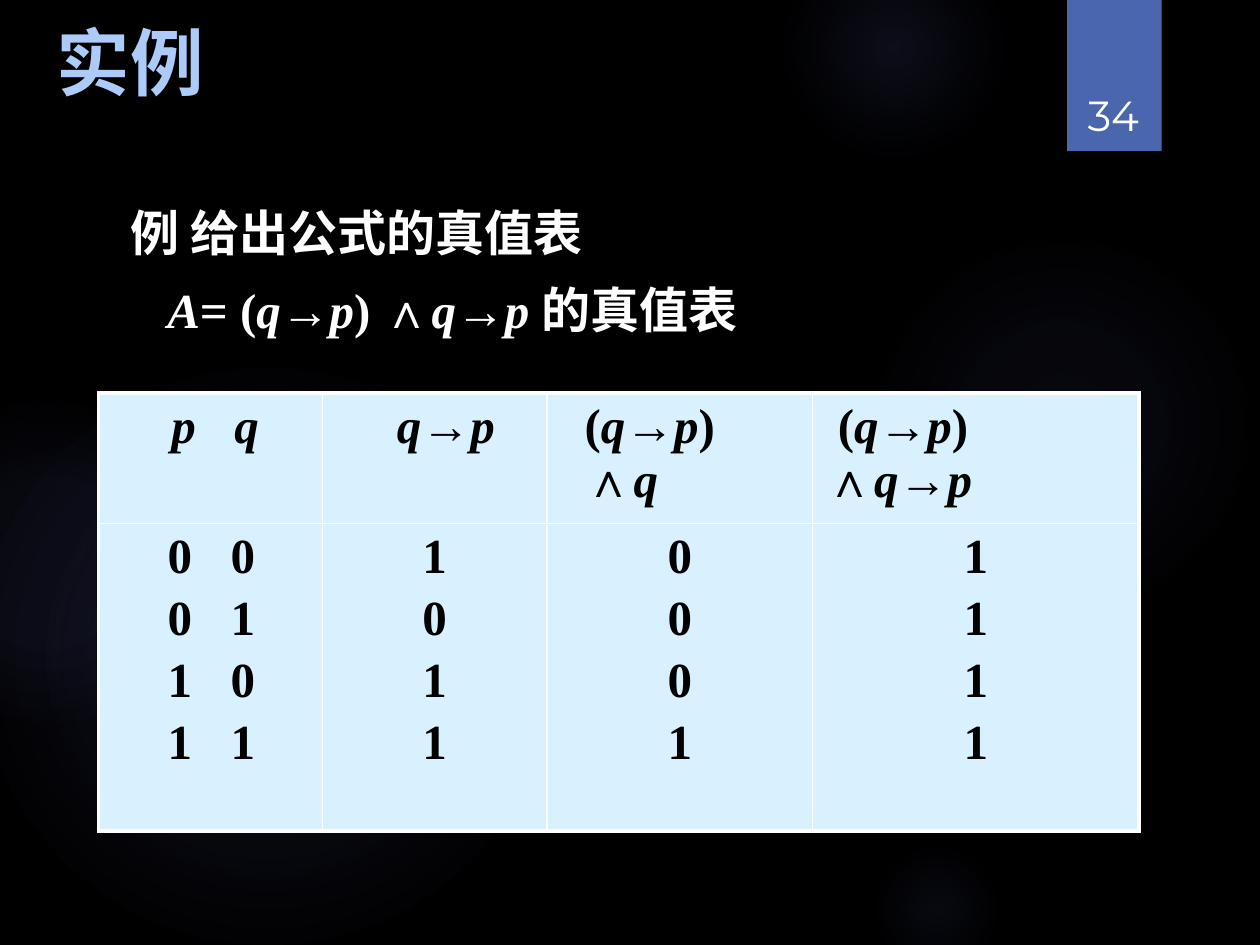
from dataclasses import dataclass
from lxml.etree import SubElement as Sub
from pptx import Presentation
from pptx.dml.color import RGBColor as RGB
from pptx.enum.shapes import MSO_SHAPE as Kind
from pptx.enum.text import MSO_ANCHOR as Anchor, PP_ALIGN as Align
from pptx.oxml.ns import qn
from pptx.util import Inches, Pt


@dataclass(frozen=True)
class Theme:
    back: str = "000000"
    glow: str = "5C64B7"
    tab: str = "4A66AC"
    head: str = "ACCBF9"
    light: str = "FFFFFF"
    dark: str = "000000"
    cell: str = "D9F1FF"
    serif: str = "Times New Roman"
    sans: str = "TeX Gyre Adventor"
    han: str = "Noto Sans CJK SC"
    digit: str = "Montserrat"
    big: int = 42
    main: int = 28
    small: int = 24
    thick: float = 2.25
    thin: float = 1


class Deck:
    """Draws themed elements on the current slide."""

    def __init__(self, theme):
        self.theme = theme
        self.file = Presentation()
        self.file.slide_width, self.file.slide_height = Inches(10), Inches(7.5)

    def start(self):
        self.slide = self.file.slides.add_slide(self.file.slide_layouts[5])
        fill = self.slide.background.fill
        fill.solid()
        fill.fore_color.rgb = RGB.from_string(self.theme.back)

    def line(self, para, text, color, size=None, face=None, bold=True,
             align=Align.LEFT, before=0, left=0, first=0, stop=None):
        font = para.font
        font.name, font.size = face or self.theme.serif, Pt(size or self.theme.main)
        font.bold, font.color.rgb = bold, RGB.from_string(color)
        para.alignment, para.space_before = align, Pt(before)
        props = para._p.get_or_add_pPr()
        props.set("marL", str(Inches(left)))
        props.set("indent", str(Inches(first)))
        if stop:
            tabs = props.makeelement(qn("a:tabLst"))
            Sub(tabs, qn("a:tab"), pos=str(Inches(stop)), algn="l")
            props.find(qn("a:defRPr")).addprevious(tabs)
        for i, part in enumerate(text.split("*")):
            if part:
                run = para.add_run()
                run.text, run.font.italic = part, i % 2 == 1
                if max(part) >= "一":
                    Sub(run._r.get_or_add_rPr(), qn("a:ea"), typeface=self.theme.han)

    def lines(self, frame, rows, color, **style):
        for i, (text, extra) in enumerate(rows):
            para = frame.add_paragraph() if i else frame.paragraphs[0]
            self.line(para, text, color, **{**style, **extra})

    def place(self, shape, box):
        shape.left, shape.top, shape.width, shape.height = map(Inches, box)

    def title(self, text, box):
        shape = self.slide.shapes.title
        self.place(shape, box)
        shape.text_frame.vertical_anchor = Anchor.MIDDLE
        self.lines(shape.text_frame, [(text, {})], self.theme.head,
                   size=self.theme.big, face=self.theme.sans)

    def text(self, rows, box, anchor=Anchor.TOP, **style):
        frame = self.slide.shapes.add_textbox(*map(Inches, box)).text_frame
        frame.word_wrap, frame.vertical_anchor = True, anchor
        self.lines(frame, rows, self.theme.light, **style)

    def shape(self, kind, box):
        shape = self.slide.shapes.add_shape(kind, *map(Inches, box))
        shape.shadow.inherit = False
        shape.line.fill.background()
        return shape

    def glow(self, x, y, size, stops):
        shape = self.shape(Kind.OVAL, (x, y, size, size))
        shape.fill.background()
        props = shape._element.spPr
        old = props.find(qn("a:noFill"))
        grad = props.makeelement(qn("a:gradFill"), rotWithShape="1")
        props.replace(old, grad)
        group = Sub(grad, qn("a:gsLst"))
        for pos, alpha in stops:
            stop = Sub(group, qn("a:gs"), pos=str(pos * 1000))
            color = Sub(stop, qn("a:srgbClr"), val=self.theme.glow)
            Sub(color, qn("a:alpha"), val=str(alpha * 1000))
        focus = Sub(grad, qn("a:path"), path="circle")
        Sub(focus, qn("a:fillToRect"), **dict.fromkeys("ltrb", "50000"))

    def flag(self, box):
        shape = self.shape(Kind.RECTANGLE, box)
        shape.fill.solid()
        shape.fill.fore_color.rgb = RGB.from_string(self.theme.tab)
        shade = Sub(shape._element.spPr.find(qn("a:effectLst")), qn("a:outerShdw"),
                    blurRad=str(Pt(3)), dist=str(Pt(2)), dir="5400000")
        color = Sub(shade, qn("a:srgbClr"), val="000000")
        Sub(color, qn("a:alpha"), val="45000")

    def edges(self, cell, outer):
        props = cell._tc.get_or_add_tcPr()
        for i, (side, edge) in enumerate(zip("LRTB", outer)):
            width = self.theme.thick if edge else self.theme.thin
            line = props.makeelement(qn("a:ln" + side), w=str(Pt(width)))
            Sub(Sub(line, qn("a:solidFill")), qn("a:srgbClr"), val=self.theme.light)
            props.insert(i, line)

    def table(self, rows, box, wide, tall):
        grid = self.slide.shapes.add_table(len(rows), len(wide), *map(Inches, box)).table
        for col, size in zip(grid.columns, wide):
            col.width = Inches(size)
        for row, size in zip(grid.rows, tall):
            row.height = Inches(size)
        for r, row in enumerate(rows):
            for c, paras in enumerate(row):
                cell = grid.cell(r, c)
                cell.fill.solid()
                cell.fill.fore_color.rgb = RGB.from_string(self.theme.cell)
                self.edges(cell, (c == 0, c == len(wide) - 1, r == 0, r == len(rows) - 1))
                self.lines(cell.text_frame, paras, self.theme.dark, before=4.4)


def main():
    theme = Theme()
    deck = Deck(theme)
    deck.start()
    for x, y, size, stops in (
        (6.89, 1.83, 3.08, ((0, 7), (36, 6), (69, 0))),
        (6.22, -0.5, 1.75, ((0, 14), (36, 7), (73, 0))),
        (6.89, 6.67, 1.08, ((0, 9), (36, 5), (66, 0))),
        (-0.17, 2.92, 4.58, ((0, 11), (36, 10), (75, 0))),
        (-0.92, 3.17, 2.58, ((0, 8), (36, 8), (72, 0))),
    ):
        deck.glow(x, y, size, stops)
    deck.flag((8.47, 0, 0.75, 1.2))
    deck.title("实例", (0.35, 0, 2.31, 0.97))
    deck.text([("例 给出公式的真值表", {"first": -0.38}),
               ("*A*= (*q*→*p*) ∧*q*→*p *的真值表", {"first": -0.09})],
              (0.94, 1.56, 7.97, 1.22), before=10, left=0.38)
    heads = [
        [("*p\tq*", {"left": 0.48, "stop": 0.96})],
        [("*q*→*p*", {"left": 0.49})],
        [("(*q*→*p*) ∧*q*", {"left": 0.2})],
        [("(*q*→*p*) ∧*q*→*p*", {"first": 0.1})],
    ]
    pairs = [(f"{p}\t{q}", {"left": 0.45, "stop": 0.94}) for p in (0, 1) for q in (0, 1)]
    truth = [[(bit, {"align": Align.CENTER}) for bit in bits]
             for bits in ("1011", "0001", "1111")]
    deck.table([heads, [pairs, *truth]], (0.78, 3.12, 8.26, 3.06),
               (1.78, 1.78, 2.11, 2.59), (0.62, 2.44))
    deck.text([("34", {})], (8.49, 0.32, 0.69, 0.84), Anchor.BOTTOM,
              size=theme.small, face=theme.digit, bold=False, align=Align.CENTER)
    deck.file.save("out.pptx")


if __name__ == "__main__":
    main()
